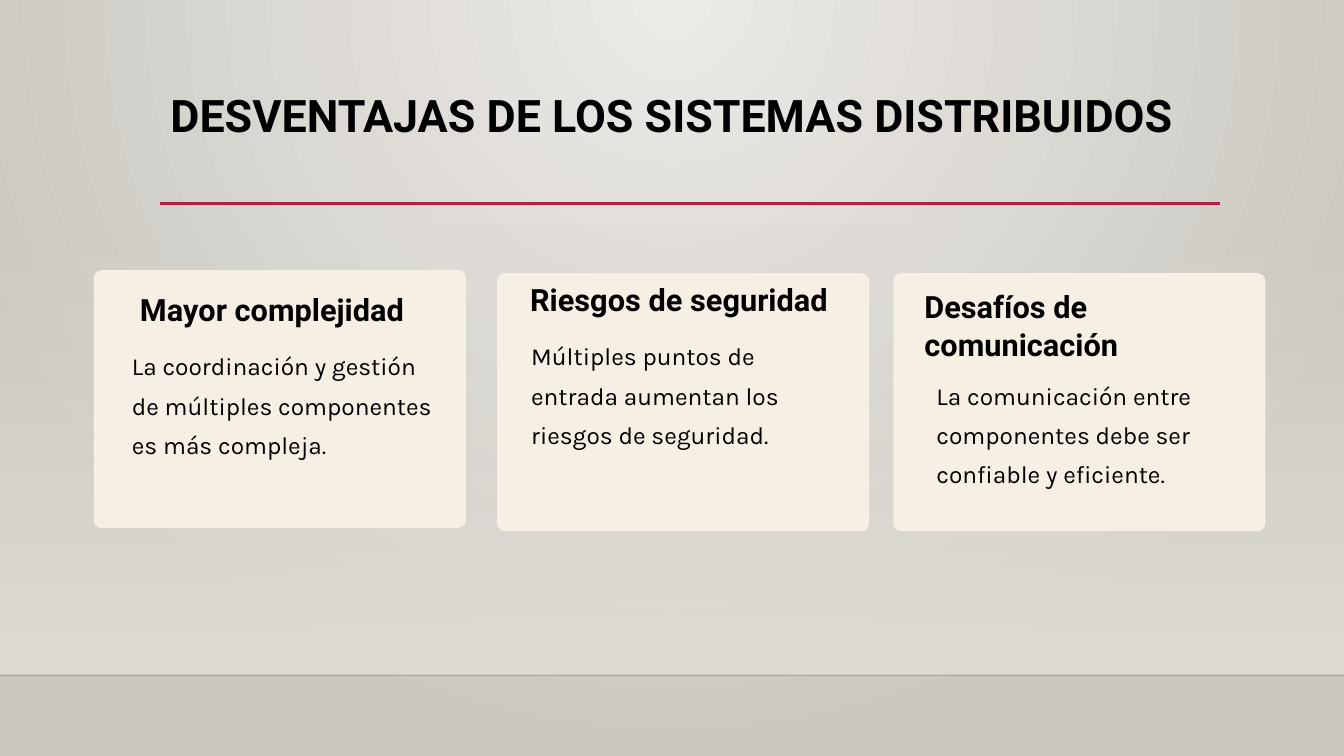
"""Build a slide with three cards on the drawbacks of distributed systems."""
import lxml.etree
import pptx
import pptx.dml.color
import pptx.enum.shapes
import pptx.enum.text
import pptx.oxml.ns
import pptx.util

Inches = pptx.util.Inches
Pt = pptx.util.Pt
RGBColor = pptx.dml.color.RGBColor
qn = pptx.oxml.ns.qn

BLACK = RGBColor(0x00, 0x00, 0x00)
EDGE = RGBColor(0x00, 0x00, 0x01)
RED = RGBColor(0xB7, 0x1E, 0x42)
CREAM = RGBColor(0xF6, 0xF0, 0xE4)
LIGHT = RGBColor(0xEC, 0xEA, 0xE7)
DARK = RGBColor(0xCA, 0xC7, 0xC1)
FLOOR = RGBColor(0xDF, 0xDB, 0xD5)


def write(box, text, font, size, spacing, bold=False):
    frame = box.text_frame
    frame.word_wrap = True
    frame.auto_size = pptx.enum.text.MSO_AUTO_SIZE.NONE
    frame.vertical_anchor = pptx.enum.text.MSO_ANCHOR.TOP
    para = frame.paragraphs[0]
    para.alignment = pptx.enum.text.PP_ALIGN.LEFT
    para.line_spacing = spacing
    span = para.add_run()
    span.text = text
    span.font.name = font
    span.font.size = Pt(size)
    span.font.bold = bold
    span.font.color.rgb = BLACK


def set_opacity(color_parent, percent):
    color = color_parent.find(".//" + qn("a:srgbClr"))
    lxml.etree.SubElement(color, qn("a:alpha"), val=str(percent * 1000))


deck = pptx.Presentation()
deck.slide_width = Inches(13.33)
deck.slide_height = Inches(7.5)
page = deck.slides.add_slide(deck.slide_layouts[5])

backdrop = page.background.fill
backdrop.gradient()
for stop, color in zip(backdrop.gradient_stops, (LIGHT, DARK)):
    stop.color.rgb = color
gradient = page.element.find(".//" + qn("a:gradFill"))
gradient.remove(gradient.find(qn("a:lin")))
circle = lxml.etree.SubElement(gradient, qn("a:path"), path="circle")
lxml.etree.SubElement(circle, qn("a:fillToRect"), l="43000", t="0", r="43000", b="100000")

wall = page.shapes.add_shape(pptx.enum.shapes.MSO_SHAPE.RECTANGLE,
                             Inches(0), Inches(2.21), Inches(13.33), Inches(4.49))
wall.shadow.inherit = False
wall.line.fill.background()
wall.fill.gradient()
wall.fill.gradient_angle = 270
for stop in wall.fill.gradient_stops:
    stop.color.rgb = FLOOR
set_opacity(wall.element.find(".//" + qn("a:gs")), 0)

for left, right, top, color, width, opacity in (
    (0, 13.33, 6.7, EDGE, 1, 20),
    (1.59, 12.1, 2.02, RED, 2.5, 100),
):
    rule = page.shapes.add_connector(pptx.enum.shapes.MSO_CONNECTOR.STRAIGHT,
                                     Inches(left), Inches(top), Inches(right), Inches(top))
    rule.line.color.rgb = color
    rule.line.width = Pt(width)
    if opacity < 100:
        set_opacity(rule.element.spPr, opacity)
    lxml.etree.SubElement(rule.element.spPr, qn("a:effectLst"))

title = page.shapes.title
title.left, title.top = Inches(1.59), Inches(0.88)
title.width, title.height = Inches(10.5), Inches(1.15)
write(title, "DESVENTAJAS DE LOS SISTEMAS DISTRIBUIDOS", "Roboto", 32, 0.9, bold=True)

CARDS = (
    ((0.93, 2.68), (1.29, 2.82, 0.38), "Mayor complejidad", (1.21, 3.34),
     "La coordinación y gestión de múltiples componentes es más compleja."),
    ((4.93, 2.71), (5.16, 2.72, 0.38), "Riesgos de seguridad", (5.17, 3.24),
     "Múltiples puntos de entrada aumentan los riesgos de seguridad."),
    ((8.86, 2.71), (9.07, 2.79, 0.76), "Desafíos de comunicación", (9.19, 3.63),
     "La comunicación entre componentes debe ser confiable y eficiente."),
)
for (card_left, card_top), (left, top, height), heading, (body_left, body_top), body in CARDS:
    card = page.shapes.add_shape(pptx.enum.shapes.MSO_SHAPE.ROUNDED_RECTANGLE,
                                 Inches(card_left), Inches(card_top), Inches(3.69), Inches(2.56))
    card.adjustments[0] = 0.03
    card.shadow.inherit = False
    card.fill.solid()
    card.fill.fore_color.rgb = CREAM
    card.line.fill.background()
    heading_box = page.shapes.add_textbox(Inches(left), Inches(top), Inches(3.2), Inches(height))
    write(heading_box, heading, "Roboto", 21.9, Pt(27.3), bold=True)
    body_box = page.shapes.add_textbox(Inches(body_left), Inches(body_top), Inches(3.2), Inches(1.17))
    write(body_box, body, "Karla", 17.5, Pt(28))

deck.save("out.pptx")
